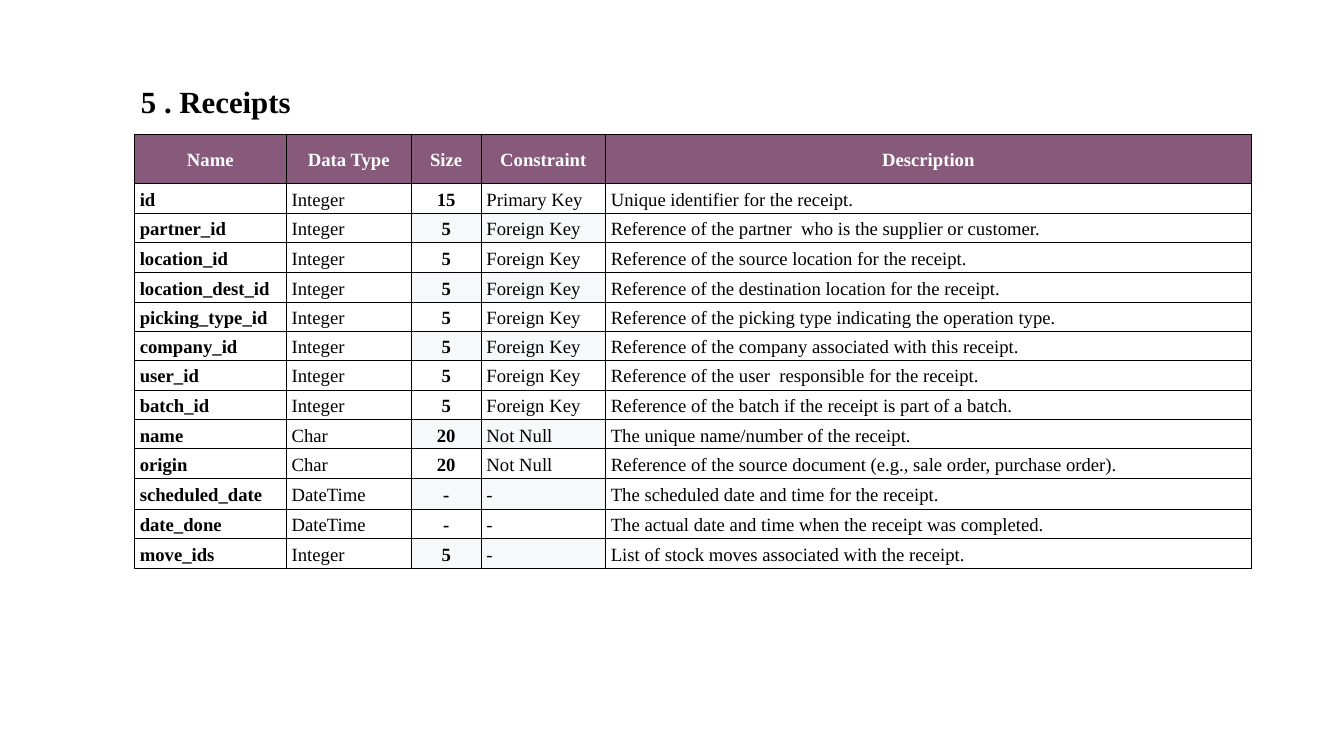
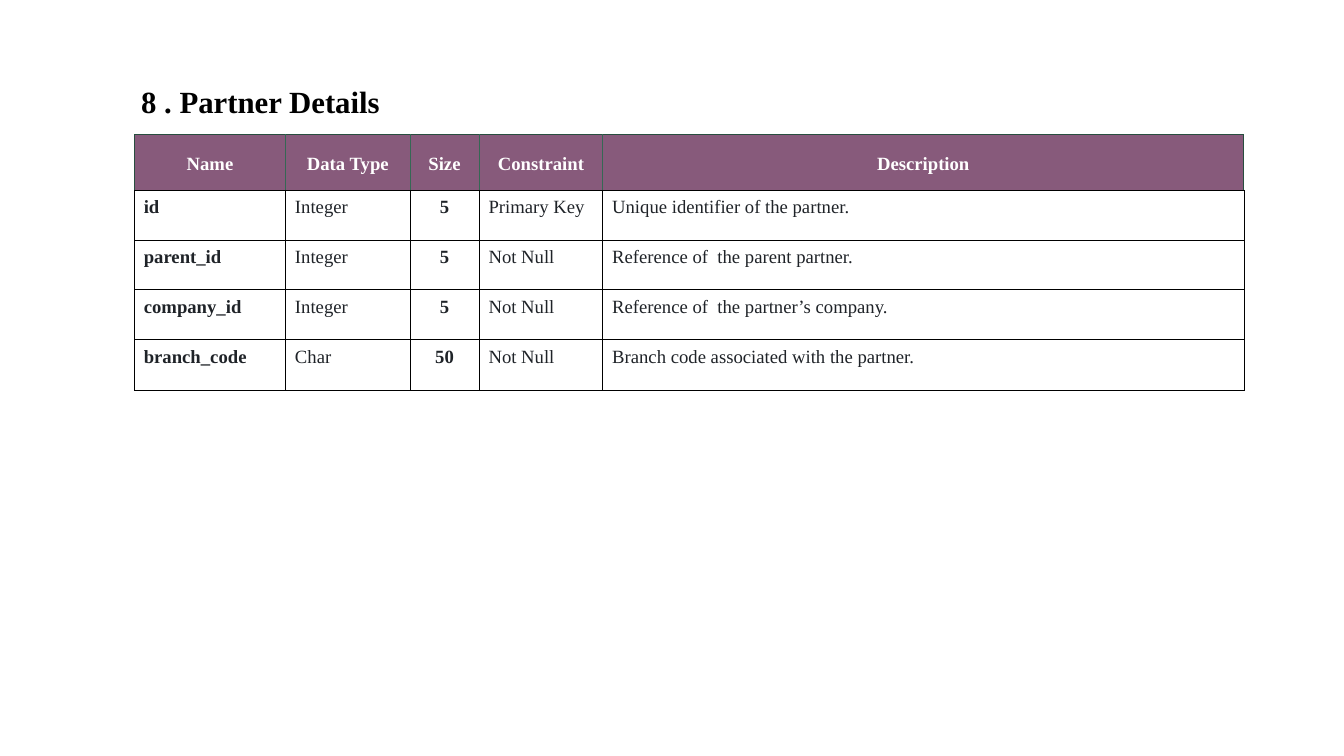
from dataclasses import dataclass

from lxml.etree import SubElement
from pptx import Presentation
from pptx.dml.color import RGBColor
from pptx.enum.text import MSO_ANCHOR as Anchor, PP_ALIGN as Align
from pptx.oxml.ns import qn
from pptx.util import Pt

PX = 9144  # EMU per px, 100 px to the inch
PAGE_WIDTH, PAGE_HEIGHT = 2000, 1125
LEFT, TITLE_TOP, TABLE_TOP = 200, 113, 200

FONT = "Times New Roman"
BLACK = RGBColor(0x00, 0x00, 0x00)
WHITE = RGBColor(0xFF, 0xFF, 0xFF)
PLUM = RGBColor(0x87, 0x5A, 0x7B)
TINT = RGBColor(0xF6, 0xF8, 0xF9)
INK = RGBColor(0x1F, 0x23, 0x28)
DARK_GREEN = RGBColor(0x28, 0x4E, 0x3F)
GREEN = RGBColor(0x35, 0x68, 0x54)

HEADINGS = ("Name", "Data Type", "Size", "Constraint", "Description")
BOLD_COLUMNS = (0, 2)
SIZE_COLUMN = 2
TINTED_COLUMNS = (2, 3)
HEADER_INSETS = (8, 2)

RECEIPT_FIELDS = [
    ("id", "Integer", "15", "Primary Key", "Unique identifier for the receipt."),
    ("partner_id", "Integer", "5", "Foreign Key",
     "Reference of the partner  who is the supplier or customer."),
    ("location_id", "Integer", "5", "Foreign Key",
     "Reference of the source location for the receipt."),
    ("location_dest_id", "Integer", "5", "Foreign Key",
     "Reference of the destination location for the receipt."),
    ("picking_type_id", "Integer", "5", "Foreign Key",
     "Reference of the picking type indicating the operation type."),
    ("company_id", "Integer", "5", "Foreign Key",
     "Reference of the company associated with this receipt."),
    ("user_id", "Integer", "5", "Foreign Key",
     "Reference of the user  responsible for the receipt."),
    ("batch_id", "Integer", "5", "Foreign Key",
     "Reference of the batch if the receipt is part of a batch."),
    ("name", "Char", "20", "Not Null", "The unique name/number of the receipt."),
    ("origin", "Char", "20", "Not Null",
     "Reference of the source document (e.g., sale order, purchase order)."),
    ("scheduled_date", "DateTime", "-", "-",
     "The scheduled date and time for the receipt."),
    ("date_done", "DateTime", "-", "-",
     "The actual date and time when the receipt was completed."),
    ("move_ids", "Integer", "5", "-",
     "List of stock moves associated with the receipt."),
]

PARTNER_FIELDS = [
    ("id", "Integer", "5", "Primary Key", "Unique identifier of the partner."),
    ("parent_id", "Integer", "5", "Not Null", "Reference of  the parent partner."),
    ("company_id", "Integer", "5", "Not Null", "Reference of  the partner’s company."),
    ("branch_code", "Char", "50", "Not Null",
     "Branch code associated with the partner."),
]


@dataclass
class TableStyle:
    widths: tuple
    heights: tuple
    ink: RGBColor
    anchor: Anchor
    insets: tuple
    line_width: float
    header_line_width: float
    header_edge: RGBColor
    header_divider: RGBColor
    body_fill: RGBColor = None
    tinted_rows: tuple = ()


RECEIPT_STYLE = TableStyle(
    widths=(226, 186, 104, 185, 961),
    heights=(73, 45, 42, 45, 44, 44, 42, 45, 44, 43, 44, 46, 43, 46),
    ink=BLACK, anchor=Anchor.MIDDLE, insets=(8, 2),
    line_width=0.94, header_line_width=1, header_edge=BLACK, header_divider=BLACK,
    body_fill=WHITE, tinted_rows=(2, 4, 6, 9, 11, 13))

PARTNER_STYLE = TableStyle(
    widths=(225, 185, 103, 184, 954),
    heights=(83, 74, 74, 74, 76),
    ink=INK, anchor=Anchor.TOP, insets=(14, 6),
    line_width=0.75, header_line_width=0.94,
    header_edge=DARK_GREEN, header_divider=GREEN)


def add_span(para, text, size, color, bold):
    span = para.add_run()
    span.text = text
    span.font.name = FONT
    span.font.size = Pt(size)
    span.font.color.rgb = color
    span.font.bold = bold


def add_title(page, text, width, height):
    box = page.shapes.add_textbox(LEFT * PX, TITLE_TOP * PX, width * PX, height * PX)
    frame = box.text_frame
    frame.word_wrap = True
    frame.margin_left = frame.margin_right = 10 * PX
    frame.margin_top = frame.margin_bottom = 10 * PX
    add_span(frame.paragraphs[0], text, 33, BLACK, True)


def set_borders(cell, borders):
    """Draw (color, points) borders, given in the order left, right, top, bottom."""
    properties = cell._tc.get_or_add_tcPr()
    for side, (color, points) in zip("LRTB", borders):
        line = SubElement(properties, qn(f"a:ln{side}"), w=str(Pt(points)))
        fill = SubElement(line, qn("a:solidFill"))
        SubElement(fill, qn("a:srgbClr"), val=str(color))


def fill_cell(cell, text, color, bold, centered, anchor, insets, fill):
    cell.vertical_anchor = anchor
    cell.margin_left = cell.margin_right = insets[0] * PX
    cell.margin_top = cell.margin_bottom = insets[1] * PX
    if fill is None:
        cell.fill.background()
    else:
        cell.fill.solid()
        cell.fill.fore_color.rgb = fill
    para = cell.text_frame.paragraphs[0]
    para.alignment = Align.CENTER if centered else Align.LEFT
    para.line_spacing = 1.15
    add_span(para, text, 20, color, bold)


def add_header_cell(cell, column, text, style):
    edge = (style.header_edge, style.header_line_width)
    divider = (style.header_divider, style.header_line_width)
    set_borders(cell, (edge if column == 0 else divider,
                       edge if column == len(HEADINGS) - 1 else divider,
                       edge, (BLACK, style.line_width)))
    fill_cell(cell, text, WHITE, True, True, Anchor.MIDDLE, HEADER_INSETS, PLUM)


def add_body_cell(cell, row, column, text, style):
    tinted = row in style.tinted_rows and column in TINTED_COLUMNS
    set_borders(cell, [(BLACK, style.line_width)] * 4)
    fill_cell(cell, text, style.ink, column in BOLD_COLUMNS, column == SIZE_COLUMN,
              style.anchor, style.insets, TINT if tinted else style.body_fill)


def add_field_table(page, fields, style):
    table = page.shapes.add_table(
        len(fields) + 1, len(HEADINGS), LEFT * PX, TABLE_TOP * PX,
        sum(style.widths) * PX, sum(style.heights) * PX).table
    table.first_row = table.horz_banding = False
    for column, width in zip(table.columns, style.widths):
        column.width = width * PX
    for row, height in zip(table.rows, style.heights):
        row.height = height * PX
    for column, heading in enumerate(HEADINGS):
        add_header_cell(table.cell(0, column), column, heading, style)
    for row, field in enumerate(fields, 1):
        for column, text in enumerate(field):
            add_body_cell(table.cell(row, column), row, column, text, style)


def main():
    deck = Presentation()
    deck.slide_width, deck.slide_height = PAGE_WIDTH * PX, PAGE_HEIGHT * PX
    blank = deck.slide_layouts[6]

    receipts = deck.slides.add_slide(blank)
    add_title(receipts, "5 . Receipts", 470, 67)
    add_field_table(receipts, RECEIPT_FIELDS, RECEIPT_STYLE)

    partners = deck.slides.add_slide(blank)
    add_field_table(partners, PARTNER_FIELDS, PARTNER_STYLE)
    add_title(partners, "8 . Partner Details", 575, 83)

    deck.save("out.pptx")


if __name__ == "__main__":
    main()
